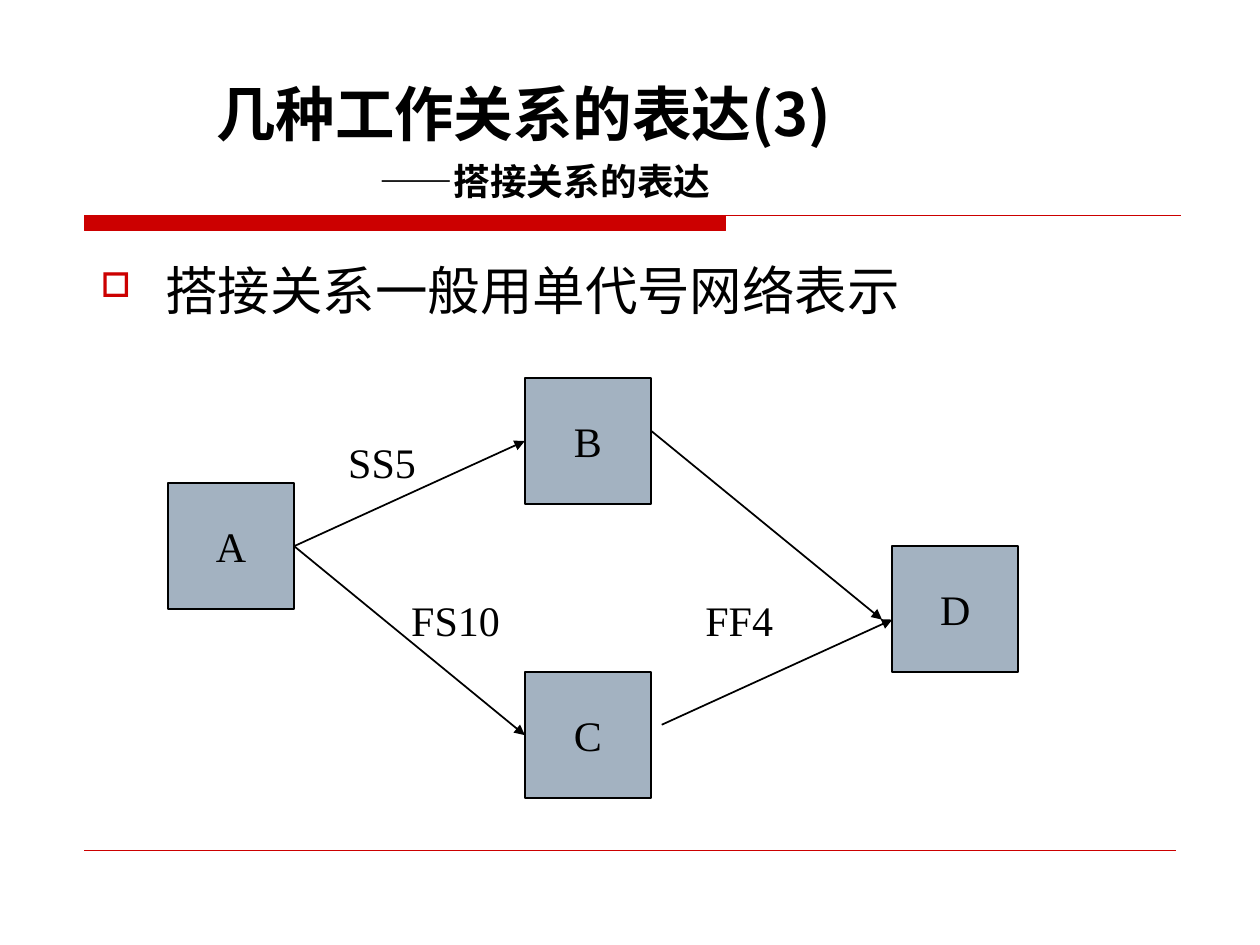
import dataclasses

import lxml.etree
import pptx
import pptx.dml.color
import pptx.enum.shapes
import pptx.enum.text
import pptx.oxml.ns
import pptx.util

Cm = pptx.util.Cm
Pt = pptx.util.Pt
Anchor = pptx.enum.text.MSO_ANCHOR
Align = pptx.enum.text.PP_ALIGN


@dataclasses.dataclass(frozen=True)
class Theme:
    red: str = "CC0000"
    black: str = "000000"
    node_fill: str = "A3B2C1"
    heading_font: str = "Noto Sans CJK SC"
    body_font: str = "DejaVu Sans"
    diagram_font: str = "Times New Roman"
    title_size: int = 34
    subtitle_size: int = 21
    body_size: int = 30
    diagram_size: int = 24


THEME = Theme()
NODE_SIZE = 2.54

# Top left corners of the work nodes, in cm
NODES = {"A": (3.39, 9.74), "B": (10.58, 7.62), "C": (10.58, 13.55), "D": (17.99, 11.01)}
# Top left corners of the relation labels, in cm
RELATIONS = {"SS5": (6.77, 8.68), "FS10": (8.04, 11.85), "FF4": (13.97, 11.85)}


def colour(code):
    return pptx.dml.color.RGBColor.from_string(code)


def add_xml(parent, tag, **attributes):
    return lxml.etree.SubElement(parent, pptx.oxml.ns.qn(tag), attributes)


def add_span(para, text, font, size, bold=False):
    span = para.add_run()
    span.text = text
    span.font.name = font
    span.font.size = Pt(size)
    span.font.bold = bold
    span.font.color.rgb = colour(THEME.black)
    add_xml(span.font._element, "a:ea", typeface=font)


def add_text_box(page, left, top, width, height, anchor=Anchor.TOP):
    box = page.shapes.add_textbox(Cm(left), Cm(top), Cm(width), Cm(height))
    box.text_frame.word_wrap = True
    box.text_frame.vertical_anchor = anchor
    return box.text_frame


def add_line(page, start, end, code, width, arrow=False):
    line = page.shapes.add_connector(
        pptx.enum.shapes.MSO_CONNECTOR.STRAIGHT, *map(Cm, start + end))
    line.line.color.rgb = colour(code)
    line.line.width = Pt(width)
    if arrow:
        add_xml(line.line._get_or_add_ln(), "a:tailEnd", type="triangle")
    add_xml(line._element.spPr, "a:effectLst")


def paint(shape, fill, line, width):
    shape.shadow.inherit = False
    shape.fill.solid()
    shape.fill.fore_color.rgb = colour(fill)
    shape.line.color.rgb = colour(line)
    shape.line.width = Pt(width)


def add_header_rule(page):
    left, top, bar_right, bottom, right = map(Cm, (1.7, 4.34, 14.63, 4.65, 23.8))
    builder = page.shapes.build_freeform(left, top)
    builder.add_line_segments([(bar_right, top), (bar_right, bottom), (left, bottom)])
    builder.move_to(left, top)
    builder.add_line_segments([(right, top)], close=False)
    paint(builder.convert_to_shape(), THEME.red, THEME.red, 0.75)


def add_indented_line(para, text, size, indent):
    para._p.get_or_add_pPr().set("marL", str(Cm(indent)))
    add_span(para, text, THEME.heading_font, size, bold=True)


def add_title(page):
    frame = add_text_box(page, 3.86, 0.94, 19.56, 3.28, Anchor.BOTTOM)
    add_indented_line(frame.paragraphs[0], "几种工作关系的表达(3)", THEME.title_size, 0.25)
    subtitle = frame.add_paragraph()
    subtitle.space_before = Pt(6)
    add_indented_line(subtitle, "——搭接关系的表达", THEME.subtitle_size, 3.55)


def add_bullet(page, text):
    para = add_text_box(page, 1.78, 5.08, 21.41, 1.73).paragraphs[0]
    props = para._p.get_or_add_pPr()
    props.set("marL", str(Cm(1.3)))
    props.set("indent", str(Cm(-1.3)))
    add_xml(add_xml(props, "a:buClr"), "a:srgbClr", val=THEME.red)
    add_xml(props, "a:buSzPct", val="65000")
    add_xml(props, "a:buChar", char="□")
    add_span(para, text, THEME.body_font, THEME.body_size)


def add_node(page, name, left, top):
    node = page.shapes.add_shape(
        pptx.enum.shapes.MSO_SHAPE.RECTANGLE,
        Cm(left), Cm(top), Cm(NODE_SIZE), Cm(NODE_SIZE))
    paint(node, THEME.node_fill, THEME.black, 1)
    node.text_frame.word_wrap = False
    node.text_frame.vertical_anchor = Anchor.MIDDLE
    para = node.text_frame.paragraphs[0]
    para.alignment = Align.CENTER
    add_span(para, name, THEME.diagram_font, THEME.diagram_size)


def side(name, right=False):
    """Middle of the left or right side of a node."""
    left, top = NODES[name]
    return (left + NODE_SIZE * right, top + NODE_SIZE / 2)


def add_network(page):
    for name, corner in NODES.items():
        add_node(page, name, *corner)

    # Arrows into B and C meet the nodes; those into D end just above its middle
    arrows = [
        (side("A", right=True), side("B")),
        (side("A", right=True), side("C")),
        ((13.12, 8.68), (17.78, 12.49)),
        ((13.34, 14.61), (17.99, 12.49)),
    ]
    for start, end in arrows:
        add_line(page, start, end, THEME.black, 1, arrow=True)

    for text, (left, top) in RELATIONS.items():
        frame = add_text_box(page, left, top, 2.54, 1.27)
        add_span(frame.paragraphs[0], text, THEME.diagram_font, THEME.diagram_size)


def main():
    deck = pptx.Presentation()
    deck.slide_width, deck.slide_height = Cm(25.4), Cm(19.05)
    page = deck.slides.add_slide(deck.slide_layouts[6])

    # Rules at the head and foot of the page
    add_header_rule(page)
    add_line(page, (1.7, 17.15), (23.7, 17.15), THEME.red, 0.25)

    # Heading and statement
    add_title(page)
    add_bullet(page, "搭接关系一般用单代号网络表示")

    # Network of works
    add_network(page)

    deck.save("out.pptx")


if __name__ == "__main__":
    main()
